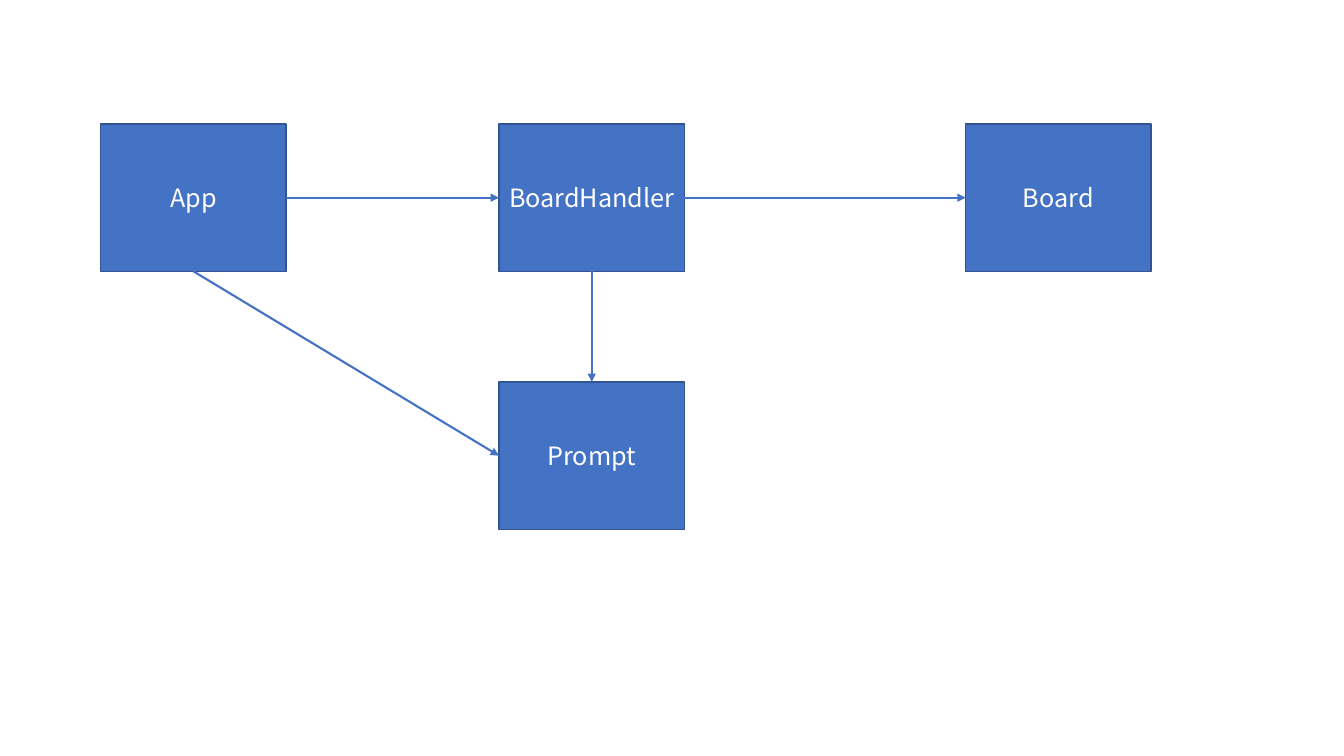
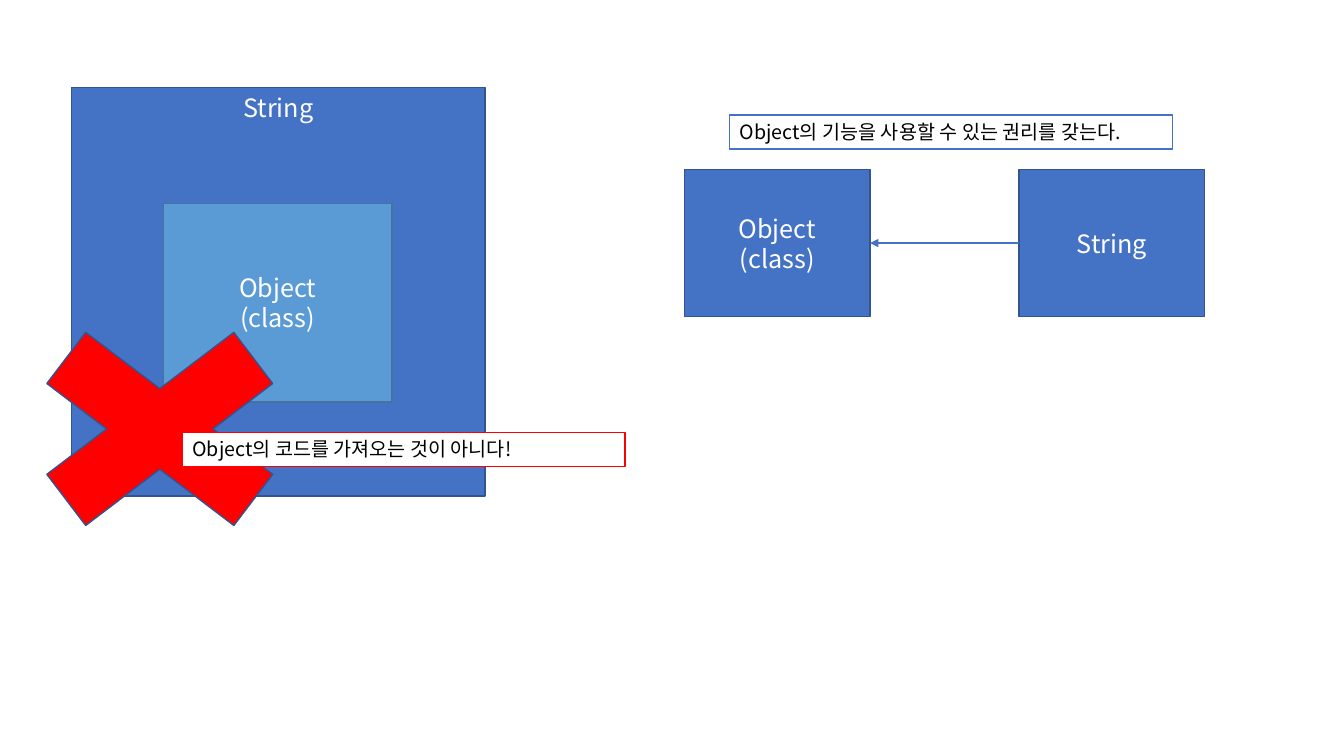
from lxml.etree import SubElement
from pptx import Presentation
from pptx.dml.color import RGBColor
from pptx.enum.shapes import MSO_CONNECTOR as Connector, MSO_SHAPE as Shape
from pptx.enum.text import MSO_ANCHOR as Anchor, PP_ALIGN as Align
from pptx.oxml.ns import qn
from pptx.util import Inches, Pt

BLUE = RGBColor(0x44, 0x72, 0xC4)
DARK_BLUE = RGBColor(0x32, 0x54, 0x91)
LIGHT_BLUE = RGBColor(0x5B, 0x9B, 0xD5)
STEEL_BLUE = RGBColor(0x43, 0x73, 0x9E)
RED = RGBColor(0xFF, 0x00, 0x00)
WHITE = RGBColor(0xFF, 0xFF, 0xFF)
BLACK = RGBColor(0x00, 0x00, 0x00)

FONT = "Noto Sans CJK KR"
LINE_HEIGHT = 1.19
CLASS_SIZE = (13.8, 19.5)
NOTE_SIZE = (32.93, 4.53)
# Connection sites of a rectangle
TOP, LEFT, BOTTOM, RIGHT = range(4)


class Deck:
    """Draws class diagrams; lengths are percent of the slide's size."""

    def __init__(self):
        self.presentation = Presentation()
        self.presentation.slide_width = Inches(13.33)
        self.presentation.slide_height = Inches(7.5)
        self.slide = None

    def add_slide(self):
        blank = self.presentation.slide_layouts[6]
        self.slide = self.presentation.slides.add_slide(blank)

    def x(self, share):
        return round(self.presentation.slide_width * share / 100)

    def y(self, share):
        return round(self.presentation.slide_height * share / 100)

    def shape(self, kind, left, top, size, fill, line):
        width, height = size
        shape = self.slide.shapes.add_shape(
            kind, self.x(left), self.y(top), self.x(width), self.y(height))
        shape.shadow.inherit = False
        shape.fill.solid()
        shape.fill.fore_color.rgb = fill
        shape.line.color.rgb = line
        shape.line.width = Pt(1)
        return shape

    def set_text(self, shape, text, size, color, align, anchor):
        frame = shape.text_frame
        frame.word_wrap = True
        frame.vertical_anchor = anchor
        frame.text = text
        for paragraph in frame.paragraphs:
            paragraph.alignment = align
            paragraph.line_spacing = Pt(size * LINE_HEIGHT)
            font = paragraph.font
            font.size = Pt(size)
            font.name = FONT
            font.color.rgb = color
            # Korean text takes the East Asian typeface
            SubElement(font._element, qn("a:ea"), typeface=FONT)

    def class_box(self, text, left, top, size=CLASS_SIZE, fill=BLUE,
                  line=DARK_BLUE, anchor=Anchor.MIDDLE):
        box = self.shape(Shape.RECTANGLE, left, top, size, fill, line)
        box.text_frame.margin_left = box.text_frame.margin_right = Inches(0.05)
        self.set_text(box, text, 18, WHITE, Align.CENTER, anchor)
        return box

    def note(self, text, left, top, line):
        box = self.shape(Shape.RECTANGLE, left, top, NOTE_SIZE, WHITE, line)
        self.set_text(box, text, 14, BLACK, Align.LEFT, Anchor.TOP)

    def arrow(self, start, start_site, end, end_site):
        arrow = self.slide.shapes.add_connector(Connector.STRAIGHT, 0, 0, 0, 0)
        arrow.begin_connect(start, start_site)
        arrow.end_connect(end, end_site)
        arrow.line.color.rgb = BLUE
        arrow.line.width = Pt(1.5)
        properties = arrow._element.spPr
        SubElement(properties.find(qn("a:ln")), qn("a:tailEnd"), type="triangle")
        SubElement(properties, qn("a:effectLst"))


deck = Deck()

# Slide 1: which class uses which
deck.add_slide()
upper_row, lower_row = 16.4, 50.53
handler_column = 37.13
app = deck.class_box("App", 7.5, upper_row)
handler = deck.class_box("BoardHandler", handler_column, upper_row)
board = deck.class_box("Board", 71.85, upper_row)
prompt = deck.class_box("Prompt", handler_column, lower_row)
deck.arrow(app, RIGHT, handler, LEFT)
deck.arrow(app, BOTTOM, prompt, LEFT)
deck.arrow(handler, BOTTOM, prompt, TOP)
deck.arrow(handler, RIGHT, board, LEFT)

# Slide 2, left: the wrong idea of inheritance
deck.add_slide()
deck.class_box("String", 5.33, 11.6, (30.75, 54), anchor=Anchor.TOP)
deck.class_box("Object\n(class)", 12.15, 26.93, (17.03, 26.27),
               fill=LIGHT_BLUE, line=STEEL_BLUE)

# Slide 2, right: the right idea
class_row = 22.4
parent = deck.class_box("Object\n(class)", 50.93, class_row)
child = deck.class_box("String", 75.83, class_row)
deck.arrow(child, LEFT, parent, RIGHT)
deck.note("Object의 기능을 사용할 수 있는 권리를 갖는다.", 54.3, 15.2, BLUE)

# Cross and note over the wrong idea
deck.shape(Shape.MATH_MULTIPLY, -1.5, 38.67, (26.78, 36.13), RED, DARK_BLUE)
deck.note("Object의 코드를 가져오는 것이 아니다!", 13.58, 57.2, RED)

deck.presentation.save("out.pptx")
